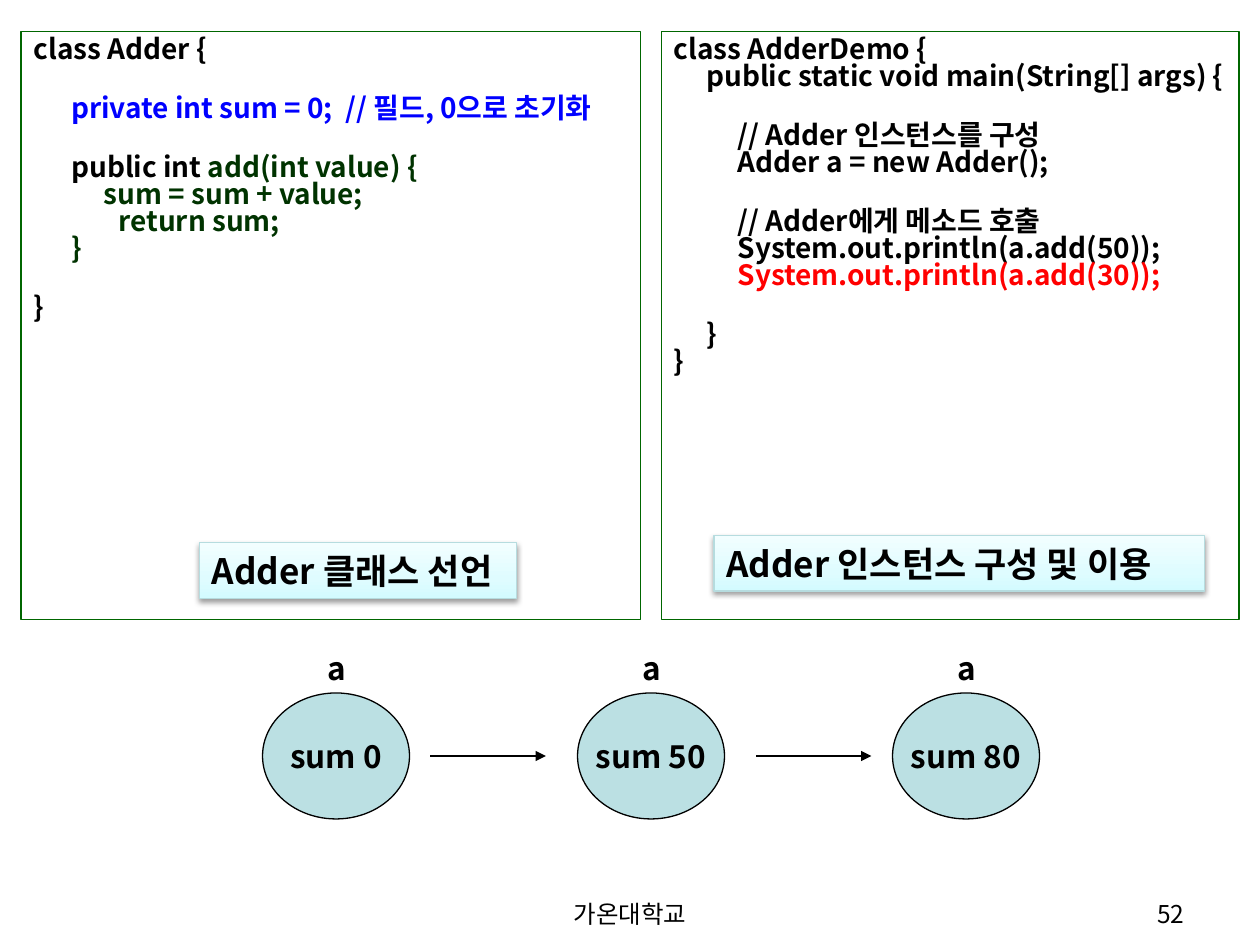
from dataclasses import dataclass
from copy import deepcopy
from lxml.etree import SubElement
from pptx import Presentation
from pptx.dml.color import RGBColor
from pptx.enum.shapes import MSO_CONNECTOR, MSO_SHAPE
from pptx.enum.text import MSO_ANCHOR, MSO_AUTO_SIZE, PP_ALIGN
from pptx.oxml.ns import qn
from pptx.shapes.base import BaseShape
from pptx.slide import Slide
from pptx.text.text import TextFrame, _Paragraph
from pptx.util import Inches, Pt

COLS, ROWS = 120, 90
WIDTH, HEIGHT = Inches(10), Inches(7.5)
FACE = "Noto Sans CJK KR"
BLACK = RGBColor(0x00, 0x00, 0x00)
BLUE = RGBColor(0x00, 0x00, 0xFF)
RED = RGBColor(0xFF, 0x00, 0x00)
GREEN = RGBColor(0x00, 0x66, 0x00)
DARK = RGBColor(0x00, 0x33, 0x00)
TEAL = RGBColor(0xBB, 0xE0, 0xE3)
EDGE = RGBColor(0xB6, 0xDC, 0xDF)
SHADES = (
    (0, RGBColor(0xD3, 0xFB, 0xFF)),
    (0.35, RGBColor(0xDF, 0xFC, 0xFF)),
    (1, RGBColor(0xF2, 0xFE, 0xFF)),
)
LINE_GAP = Pt(18.5)


@dataclass
class Box:
    left: float
    top: float
    wide: float
    high: float

    def place(self) -> tuple[int, int, int, int]:
        return (across(self.left), down(self.top), across(self.wide), down(self.high))


@dataclass
class Code:
    text: str
    inset: float = 0
    color: RGBColor = BLACK
    gap: bool = False
    lead: str = ""


@dataclass
class Tag:
    box: Box
    text: str


@dataclass
class Note:
    box: Box
    text: str
    align: PP_ALIGN


ADDER = [
    Code("class Adder {"),
    Code("private int sum = 0;  // 필드, 0으로 초기화", 3.6, BLUE, gap=True),
    Code(" add(int value) {", 3.6, DARK, gap=True, lead="public int"),
    Code("sum = sum + value;", 6.7, DARK),
    Code("return sum;", 8.1, DARK),
    Code("}", 3.6, DARK),
    Code("}", gap=True),
]
DEMO = [
    Code("class AdderDemo {"),
    Code("public static void main(String[] args) {", 3.1),
    Code("// Adder 인스턴스를 구성", 6.1, gap=True),
    Code("Adder a = new Adder();", 6.1),
    Code("// Adder에게 메소드 호출", 6.1, gap=True),
    Code("System.out.println(a.add(50));", 6.1),
    Code("System.out.println(a.add(30));", 6.1, RED),
    Code("}", 3.1, gap=True),
    Code("}"),
]
LEFT, RIGHT = Box(2, 3, 59, 56), Box(63, 3, 55, 56)
TAGS = [
    Tag(Box(19, 51.7, 30.2, 5.3), "Adder 클래스 선언"),
    Tag(Box(68, 51, 46.7, 5.3), "Adder 인스턴스 구성 및 이용"),
]
NOTES = [
    Note(Box(41, 85, 38, 3.2), "가온대학교", PP_ALIGN.CENTER),
    Note(Box(86, 85, 28, 3.2), "52", PP_ALIGN.RIGHT),
]
SUMS = (0, 50, 80)
FIRST, STEP = 25, 30
ARROWS = ((41, 52), (72, 83))


def across(cols: float) -> int:
    return round(WIDTH * cols / COLS)


def down(rows: float) -> int:
    return round(HEIGHT * rows / ROWS)


def style(thing: object, values: dict) -> None:
    for name, value in values.items():
        setattr(thing, name, value)


def write(para: _Paragraph, text: str, size: int, color: RGBColor = BLACK, bold: bool = True) -> None:
    run = para.add_run()
    run.text = text
    style(run.font, {"size": Pt(size), "bold": bold, "name": FACE})
    run.font.color.rgb = color
    SubElement(run.font._element, qn("a:ea"), typeface=FACE)


def border(shape: BaseShape, color: RGBColor) -> None:
    shape.line.color.rgb = color
    shape.line.width = Pt(0.75)


def list_code(frame: TextFrame, codes: list[Code]) -> None:
    style(frame, {"word_wrap": True, "auto_size": MSO_AUTO_SIZE.NONE,
                  "vertical_anchor": MSO_ANCHOR.TOP, "margin_right": 0})
    for row, code in enumerate(codes):
        para = frame.add_paragraph() if row else frame.paragraphs[0]
        style(para, {"alignment": PP_ALIGN.LEFT, "line_spacing": 0.8,
                     "space_before": LINE_GAP if code.gap else Pt(0)})
        props = para._p.get_or_add_pPr()
        props.set("marL", str(across(code.inset)))
        props.set("indent", "0")
        SubElement(props, qn("a:buNone"))
        if code.lead:
            write(para, code.lead, 16)
        write(para, code.text, 16, code.color)


def draw_body(slide: Slide) -> None:
    slide.shapes.title._element.getparent().remove(slide.shapes.title._element)
    body = slide.placeholders[1]
    style(body, dict(zip(("left", "top", "width", "height"), LEFT.place())))
    border(body, GREEN)
    list_code(body.text_frame, ADDER)


def draw_shape(slide: Slide, kind: MSO_SHAPE, box: Box, edge: RGBColor) -> BaseShape:
    shape = slide.shapes.add_shape(kind, *box.place())
    shape.shadow.inherit = False
    border(shape, edge)
    return shape


def draw_demo(slide: Slide) -> None:
    panel = draw_shape(slide, MSO_SHAPE.RECTANGLE, RIGHT, GREEN)
    panel.fill.background()
    list_code(panel.text_frame, DEMO)


def draw_note(slide: Slide, note: Note, size: int = 14, bold: bool = False, wrap: bool = True) -> None:
    frame = slide.shapes.add_textbox(*note.box.place()).text_frame
    frame.word_wrap = wrap
    frame.paragraphs[0].alignment = note.align
    write(frame.paragraphs[0], note.text, size, bold=bold)


def draw_sum(slide: Slide, left: float, value: int) -> None:
    oval = draw_shape(slide, MSO_SHAPE.OVAL, Box(left, 66, 14, 12), BLACK)
    oval.fill.solid()
    oval.fill.fore_color.rgb = TEAL
    frame = oval.text_frame
    style(frame, {"word_wrap": False, "vertical_anchor": MSO_ANCHOR.MIDDLE})
    frame.paragraphs[0].alignment = PP_ALIGN.CENTER
    write(frame.paragraphs[0], f"sum {value}", 18)
    label = Note(Box(left + 5, 61.2, 4.1, 4.8), "a", PP_ALIGN.LEFT)
    draw_note(slide, label, 18, bold=True, wrap=False)


def draw_arrow(slide: Slide, start: float, end: float) -> None:
    arrow = slide.shapes.add_connector(
        MSO_CONNECTOR.STRAIGHT, across(start), down(72), across(end), down(72))
    border(arrow, BLACK)
    SubElement(arrow.line._get_or_add_ln(), qn("a:tailEnd"), type="triangle")
    SubElement(arrow._element.spPr, qn("a:effectLst"))


def draw_tag(slide: Slide, tag: Tag) -> None:
    shape = draw_shape(slide, MSO_SHAPE.RECTANGLE, tag.box, EDGE)
    shape.fill.gradient()
    shape.fill.gradient_angle = 90
    props = shape._element.spPr
    stops = props.find(".//" + qn("a:gsLst"))
    stops.insert(1, deepcopy(stops[0]))
    for stop, (place, color) in zip(shape.fill.gradient_stops, SHADES):
        stop.position = place
        stop.color.rgb = color
    shade = SubElement(props.find(qn("a:effectLst")), qn("a:outerShdw"), blurRad=str(Pt(3.1)),
                       dist=str(Pt(1.6)), dir="5400000", rotWithShape="0")
    tint = SubElement(shade, qn("a:srgbClr"), val=str(BLACK))
    SubElement(tint, qn("a:alpha"), val="38000")
    frame = shape.text_frame
    style(frame, {"word_wrap": True, "vertical_anchor": MSO_ANCHOR.MIDDLE,
                  "margin_right": 0, "margin_top": 0, "margin_bottom": 0})
    frame.paragraphs[0].alignment = PP_ALIGN.LEFT
    write(frame.paragraphs[0], tag.text, 20)


def main() -> None:
    deck = Presentation()
    style(deck, {"slide_width": WIDTH, "slide_height": HEIGHT})
    slide = deck.slides.add_slide(deck.slide_layouts[1])
    draw_body(slide)
    draw_demo(slide)
    for place, value in enumerate(SUMS):
        draw_sum(slide, FIRST + place * STEP, value)
    for start, end in ARROWS:
        draw_arrow(slide, start, end)
    for note in NOTES:
        draw_note(slide, note)
    for tag in TAGS:
        draw_tag(slide, tag)
    deck.save("out.pptx")


if __name__ == "__main__":
    main()
